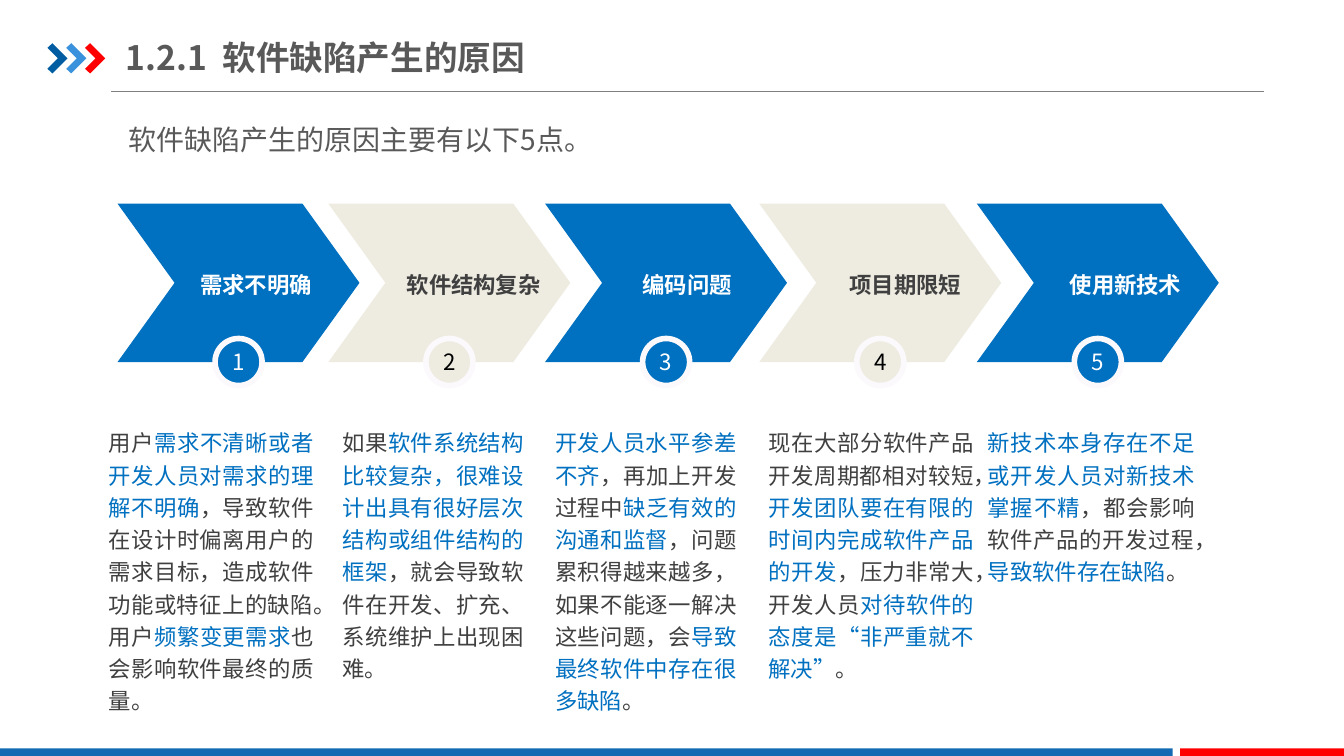
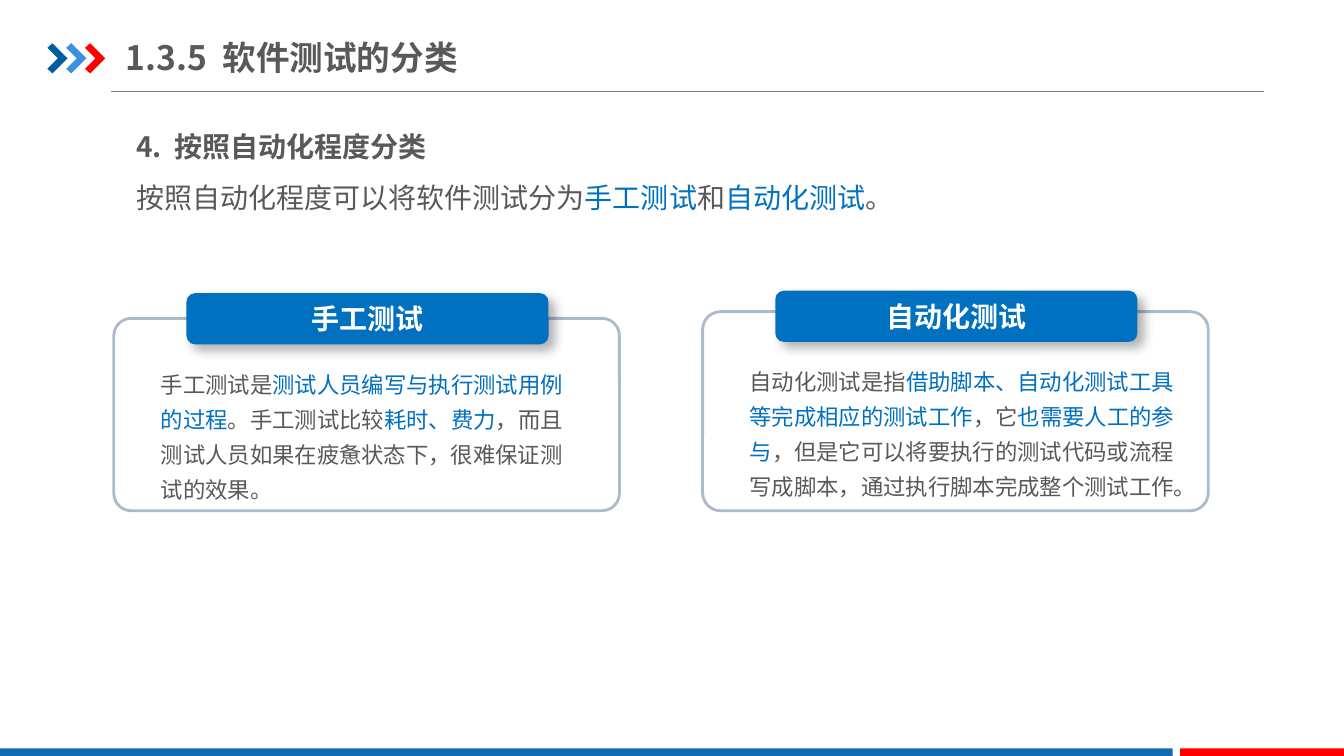
import dataclasses

import lxml.etree
import pptx
import pptx.dml.color
import pptx.enum.shapes
import pptx.enum.text
import pptx.oxml.ns
import pptx.util

SHAPE = pptx.enum.shapes.MSO_SHAPE
ALIGN = pptx.enum.text.PP_ALIGN
ANCHOR = pptx.enum.text.MSO_ANCHOR
qn = pptx.oxml.ns.qn

# The slide is a grid of 160 columns by 90 rows of square cells.
COLS, ROWS = 160, 90
CELL = pptx.util.Inches(1) // 12


@dataclasses.dataclass(frozen=True)
class Theme:
    font: str = "Noto Sans CJK SC"
    blue: str = "0070C0"
    sand: str = "EEECE1"
    white: str = "FFFFFF"
    black: str = "000000"
    ink: str = "404040"
    grey: str = "595959"
    rule: str = "808080"
    edge: str = "ADBACA"
    ring: str = "FBF9FC"
    bar: str = "1369B2"
    red: str = "FF0000"
    marks: tuple = ("005DA2", "3992DB", "FF0000")
    head: int = 24
    lead: int = 20
    body: int = 16


THEME = Theme()


@dataclasses.dataclass(frozen=True)
class Style:
    size: int
    hue: str
    bold: bool = False
    align: object = ALIGN.LEFT
    space: float = 1.0


HEAD = Style(THEME.head, THEME.grey, bold=True)
TOPIC = Style(THEME.lead, THEME.grey, bold=True, space=1.5)
LEAD = Style(THEME.lead, THEME.grey, space=1.5)
TAB = Style(THEME.lead, THEME.white, bold=True, align=ALIGN.CENTER)
NOTE = Style(THEME.body, THEME.ink, align=ALIGN.JUSTIFY, space=1.2)
CARD = Style(THEME.body, THEME.grey, space=1.3)


def grid(*cells):
    return [pptx.util.Emu(round(n * CELL)) for n in cells]


def rgb(hue):
    return pptx.dml.color.RGBColor.from_string(hue)


def add_run(para, text, style, hue):
    run = para.add_run()
    run.text = text
    font = run.font
    font.size = pptx.util.Pt(style.size)
    font.bold = style.bold
    font.color.rgb = rgb(hue)
    font.name = THEME.font
    props = run._r.get_or_add_rPr()
    props.set("lang", "zh-CN")
    if text == " ":
        props.set("spc", str(round(style.size * 22.5)))
    east = lxml.etree.SubElement(props, qn("a:ea"))
    east.set("typeface", THEME.font)


def write(shape, *lines, anchor=ANCHOR.TOP, wrap=True):
    """Fill a shape with (text, style) lines; every second part between bars is blue."""
    frame = shape.text_frame
    frame.word_wrap = wrap
    frame.vertical_anchor = anchor
    frame.margin_left = frame.margin_right = 0
    frame.margin_top = frame.margin_bottom = 0
    for i, (text, style) in enumerate(lines):
        para = frame.add_paragraph() if i else frame.paragraphs[0]
        para.alignment = style.align
        para.line_spacing = style.space
        for j, part in enumerate(text.split("|")):
            if part:
                add_run(para, part, style, THEME.blue if j % 2 else style.hue)


def add_text(slide, area, *lines, **opts):
    write(slide.shapes.add_textbox(*grid(*area)), *lines, **opts)


def paint(shape, fill=None, line=None, width=1):
    shape.shadow.inherit = False
    if fill:
        shape.fill.solid()
        shape.fill.fore_color.rgb = rgb(fill)
    else:
        shape.fill.background()
    if line:
        shape.line.color.rgb = rgb(line)
        shape.line.width = pptx.util.Pt(width)
    else:
        shape.line.fill.background()
    return shape


def add_form(slide, kind, area, **look):
    return paint(slide.shapes.add_shape(kind, *grid(*area)), **look)


def add_shade(shape):
    """Cast a soft shadow down and to the right."""
    list_ = shape._element.spPr.find(qn("a:effectLst"))
    shade = lxml.etree.SubElement(list_, qn("a:outerShdw"))
    looks = {"blurRad": pptx.util.Pt(8), "dist": pptx.util.Pt(6),
             "dir": 45 * 60000, "algn": "tl", "rotWithShape": 0}
    for key, value in looks.items():
        shade.set(key, str(value))
    hue = lxml.etree.SubElement(shade, qn("a:srgbClr"))
    hue.set("val", THEME.black)
    lxml.etree.SubElement(hue, qn("a:alpha")).set("val", "30000")


def add_mark(slide, left, top, hue):
    dots = [(0, 0.55), (0.6, 0), (2.4, 1.8), (0.6, 3.6), (0, 3.05), (1.25, 1.8)]
    first, *rest = [tuple(grid(left + x, top + y)) for x, y in dots]
    pen = slide.shapes.build_freeform(*first, scale=1.0)
    pen.add_line_segments(rest, close=True)
    paint(pen.convert_to_shape(), fill=hue)


def add_page(deck, title):
    """Add a slide with the title, marks, rule and foot bars that all share."""
    slide = deck.slides.add_slide(deck.slide_layouts[6])
    rule = slide.shapes.add_connector(
        pptx.enum.shapes.MSO_CONNECTOR.STRAIGHT, *grid(13.2, 10.9, 150.5, 10.9))
    rule.line.color.rgb = rgb(THEME.rule)
    rule.line.width = pptx.util.Pt(0.75)
    lxml.etree.SubElement(rule._element.spPr, qn("a:effectLst"))
    for i, hue in enumerate(THEME.marks):
        add_mark(slide, 5.65 + 2.24 * i, 5.15, hue)
    foot = 89.1
    for left, right, hue in ((0, 139.6, THEME.bar), (140.5, COLS, THEME.red)):
        add_form(slide, SHAPE.RECTANGLE, (left, foot, right - left, ROWS - foot), fill=hue)
    add_text(slide, (15, 3.5, 51, 6.6), (title, HEAD), anchor=ANCHOR.MIDDLE)
    return slide


def add_step(slide, num, left, mid, name):
    """Add an arrow with its name centred on mid and a numbered disc below."""
    wide, high, top, disc = 28.8, 18.85, 24.25, 5.6
    dark = num % 2 == 1
    fill = THEME.blue if dark else THEME.sand
    arrow = add_form(slide, SHAPE.CHEVRON, (left, top, wide, high), fill=fill)
    arrow.adjustments[0] = 0.36
    label = Style(THEME.body, THEME.white if dark else THEME.ink, True, ALIGN.CENTER)
    add_text(slide, (mid - 10, 32.4, 20, 3), (name, label), anchor=ANCHOR.MIDDLE)
    area = (left + (wide - disc) / 2, top + high - disc / 2, disc, disc)
    dot = add_form(slide, SHAPE.OVAL, area, fill=fill, line=THEME.ring, width=4)
    digit = Style(THEME.body, THEME.white if dark else THEME.black, align=ALIGN.CENTER)
    write(dot, (str(num), digit), anchor=ANCHOR.MIDDLE, wrap=False)


def add_card(slide, left, top, tab, wide, name, text):
    """Add an outlined card whose name tab starts at row tab."""
    area = (left, top, 60.2, 60.8 - top)
    box = add_form(slide, SHAPE.ROUNDED_RECTANGLE, area, line=THEME.edge, width=2)
    box.adjustments[0] = 0.09
    add_text(slide, (left + 5.6, tab + 8.3, wide, 17), (text, CARD))
    area = (left + 8.65, tab, 43.1, 6.1)
    plate = add_form(slide, SHAPE.ROUNDED_RECTANGLE, area, fill=THEME.blue)
    add_shade(plate)
    write(plate, (name, TAB), anchor=ANCHOR.MIDDLE)


# Arrow left, name centre, name, note left, note width, note.
CAUSES = [
    (14, 30.5, "需求不明确", 12.95, 24.4,
     "用户|需求不清晰或者开发人员对需求的理解不明确|，导致软件在设计时偏离用户的需求目标，"
     "造成软件功能或特征上的缺陷。用户|频繁变更需求|也会影响软件最终的质量。"),
    (39.1, 56.4, "软件结构复杂", 40.8, 21.6,
     "如果|软件系统结构比较复杂，很难设计出具有很好层次结构或组件结构的框架|，"
     "就会导致软件在开发、扩充、系统维护上出现困难。"),
    (64.9, 81.8, "编码问题", 66.1, 21.6,
     "|开发人员水平参差不齐|，再加上开发过程中|缺乏有效的沟通和监督|，问题累积得越来越多，"
     "如果不能逐一解决这些问题，会|导致最终软件中存在很多缺陷|。"),
    (90.4, 107.8, "项目期限短", 91.5, 24.5,
     "现在大部分软件产品开发周期都相对较短，|开发团队要在有限的时间内完成软件产品的开发|，"
     "压力非常大，开发人员|对待软件的态度是“非严重就不解决”|。"),
    (116.3, 134, "使用新技术", 117.6, 24.7,
     "|新技术本身存在不足或开发人员对新技术掌握不精|，都会影响软件产品的开发过程，"
     "|导致软件存在缺陷|。"),
]

# Card left, card top, tab top, text width, name, text.
KINDS = [
    (13.55, 37.9, 34.9, 49.1, "手工测试",
     "手工测试是|测试人员编写与执行测试用例的过程|。手工测试比较|耗时、费力|，"
     "而且测试人员如果在疲惫状态下，很难保证测试的效果。"),
    (83.65, 37.1, 34.6, 51, "自动化测试",
     "自动化测试是指|借助脚本、自动化测试工具等完成相应的测试工作|，它|也需要人工的参与|，"
     "但是它可以将要执行的测试代码或流程写成脚本，通过执行脚本完成整个测试工作。"),
]


def show_causes(deck):
    slide = add_page(deck, "1.2.1| |软件缺陷产生的原因".replace("| |软", "| ||软"[:3] + "软"))
    for num, (left, mid, name, edge, wide, note) in enumerate(CAUSES, 1):
        add_step(slide, num, left, mid, name)
        add_text(slide, (edge, 50.5, wide, 35), (note, NOTE))
    add_text(slide, (15.25, 12.6, 129.5, 7), ("软件缺陷产生的原因主要有以下5点。", LEAD))


def show_kinds(deck):
    slide = add_page(deck, "1.3.5| |软件测试的分类")
    add_text(slide, (16.2, 13.45, 129.6, 14),
             ("4.| |按照自动化程度分类", TOPIC),
             ("按照自动化程度可以将软件测试分为|手工测试|和|自动化测试|。", LEAD))
    for kind in KINDS:
        add_card(slide, *kind)


def main():
    deck = pptx.Presentation()
    deck.slide_width, deck.slide_height = grid(COLS, ROWS)
    show_causes(deck)
    show_kinds(deck)
    deck.save("out.pptx")


if __name__ == "__main__":
    main()
